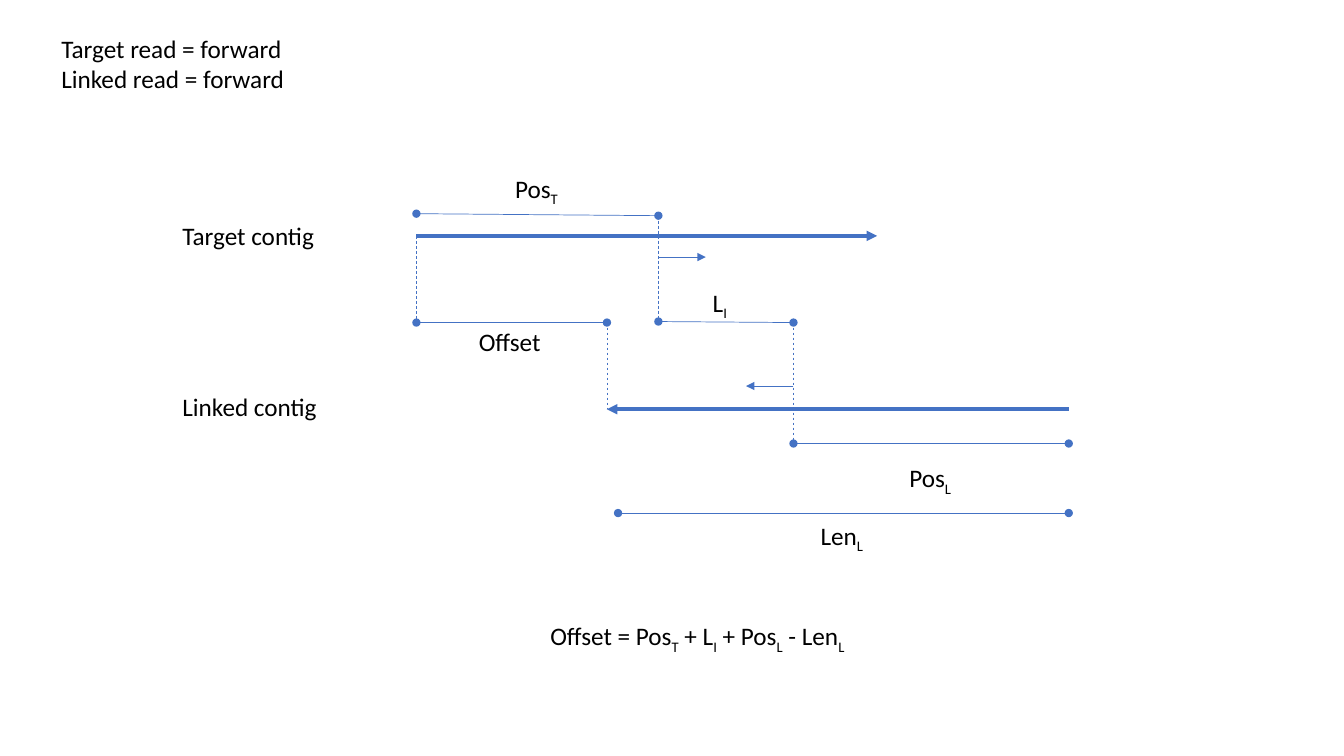
from lxml.etree import SubElement
from pptx import Presentation
from pptx.dml.color import RGBColor
from pptx.enum.dml import MSO_LINE
from pptx.enum.shapes import MSO_CONNECTOR
from pptx.enum.text import MSO_AUTO_SIZE
from pptx.oxml.ns import qn
from pptx.util import Inches, Pt

BLUE = "4472C4"
BLACK = "000000"
FONT_FORMAT = {"name": "Calibri", "size": Pt(18)}
FRAME_FORMAT = {"word_wrap": False, "auto_size": MSO_AUTO_SIZE.SHAPE_TO_FIT_TEXT}

TARGET_START, TARGET_END, TARGET_READ = 4.13, 8.7, 6.53
LINKED_START, LINKED_END, LINKED_READ = 10.6, 6.02, 7.87
TARGET_Y, OFFSET_Y, LINKED_Y, LINKED_POSITION_Y, LENGTH_Y = 2.34, 3.2, 4.06, 4.4, 5.09
READ_LENGTH = 0.47

ARROWS = [
    (TARGET_START, TARGET_END, TARGET_Y, 2.5),
    (LINKED_START, LINKED_END, LINKED_Y, 2.5),
    (TARGET_READ, TARGET_READ + READ_LENGTH, 2.55, 0.5),
    (LINKED_READ, LINKED_READ - READ_LENGTH, 3.83, 0.5),
]
GUIDES = [
    (TARGET_START, TARGET_Y, OFFSET_Y),
    (LINKED_END, OFFSET_Y, LINKED_Y),
    (TARGET_READ, 2.14, OFFSET_Y),
    (LINKED_READ, OFFSET_Y, LINKED_POSITION_Y),
]
MEASURES = [
    (TARGET_START, 2.12, TARGET_READ, 2.14),
    (TARGET_START, OFFSET_Y, LINKED_END, OFFSET_Y),
    (TARGET_READ, 3.19, LINKED_READ, OFFSET_Y),
    (LINKED_START, LINKED_POSITION_Y, LINKED_READ, LINKED_POSITION_Y),
    (LINKED_START, LENGTH_Y, 6.13, LENGTH_Y),
]
LABELS = [
    (0.51, 0.28, 2.44, 0.71, ["Target read = forward", "Linked read = forward"]),
    (1.71, 2.14, 1.52, 0.4, ["Target contig"]),
    (1.71, 3.83, 1.55, 0.4, ["Linked contig"]),
    (5.01, 1.67, 0.64, 0.4, ["Pos_T"]),
    (4.65, 3.19, 0.82, 0.4, ["Offset"]),
    (6.97, 2.8, 0.35, 0.4, ["L_I"]),
    (8.92, 4.54, 0.63, 0.4, ["Pos_L"]),
    (8.04, 5.11, 0.64, 0.4, ["Len_L"]),
    (5.36, 6.11, 3.23, 0.4, ["Offset = Pos_T + L_I + Pos_L - Len_L"]),
]


def set_color(color_format, color):
    color_format.rgb = RGBColor.from_string(color)


def apply_format(target, values):
    for name, value in values.items():
        setattr(target, name, value)


def add_line(slide, start, end, width=0.5, dash=None, head=None, tail=None):
    connector = slide.shapes.add_connector(
        MSO_CONNECTOR.STRAIGHT, *map(Inches, start + end)
    )
    line = connector.line
    line.fill.solid()
    set_color(line.fill.fore_color, BLUE)
    apply_format(line, {"width": Pt(width), "dash_style": dash})
    properties = connector.element.spPr
    for tag, kind in (("a:headEnd", head), ("a:tailEnd", tail)):
        if kind:
            SubElement(properties.find(qn("a:ln")), qn(tag), type=kind)
    SubElement(properties, qn("a:effectLst"))


def add_run(paragraph, text, subscript=False):
    run = paragraph.add_run()
    run.text = text
    apply_format(run.font, FONT_FORMAT)
    set_color(run.font.color, BLACK)
    if subscript:
        run._r.get_or_add_rPr().set("baseline", "-25000")


def add_label(slide, left, top, width, height, lines):
    shape = slide.shapes.add_textbox(*map(Inches, (left, top, width, height)))
    frame = shape.text_frame
    apply_format(frame, FRAME_FORMAT)
    for index, text in enumerate(lines):
        paragraph = frame.add_paragraph() if index else frame.paragraphs[0]
        first, *others = text.split("_")
        add_run(paragraph, first)
        for part in others:
            add_run(paragraph, part[0], subscript=True)
            if part[1:]:
                add_run(paragraph, part[1:])


def main():
    presentation = Presentation()
    apply_format(
        presentation, {"slide_width": Inches(13.33), "slide_height": Inches(7.5)}
    )
    slide = presentation.slides.add_slide(presentation.slide_layouts[6])
    for start, end, y, width in ARROWS:
        add_line(slide, (start, y), (end, y), width, tail="triangle")
    for x, top, bottom in GUIDES:
        add_line(slide, (x, top), (x, bottom), dash=MSO_LINE.DASH)
    for left, top, right, bottom in MEASURES:
        add_line(slide, (left, top), (right, bottom), head="oval", tail="oval")
    for label in LABELS:
        add_label(slide, *label)
    presentation.save("out.pptx")


if __name__ == "__main__":
    main()
